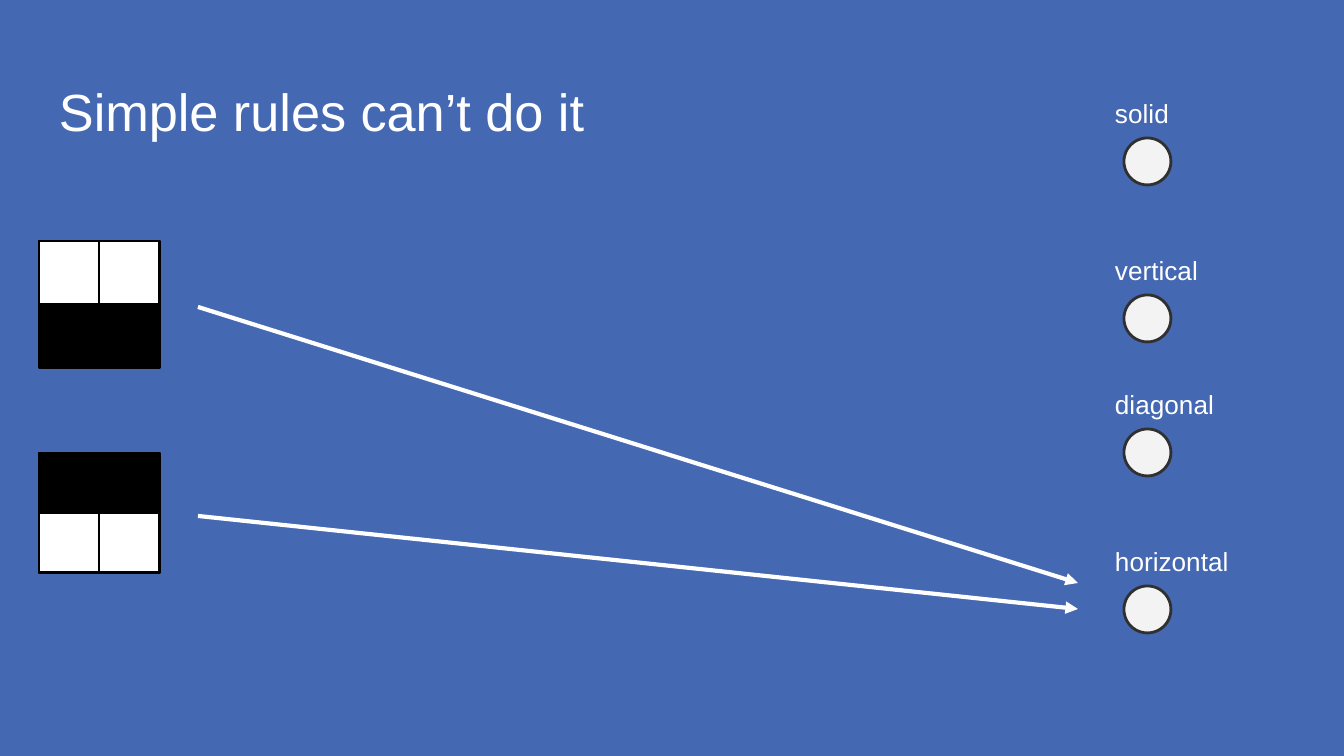
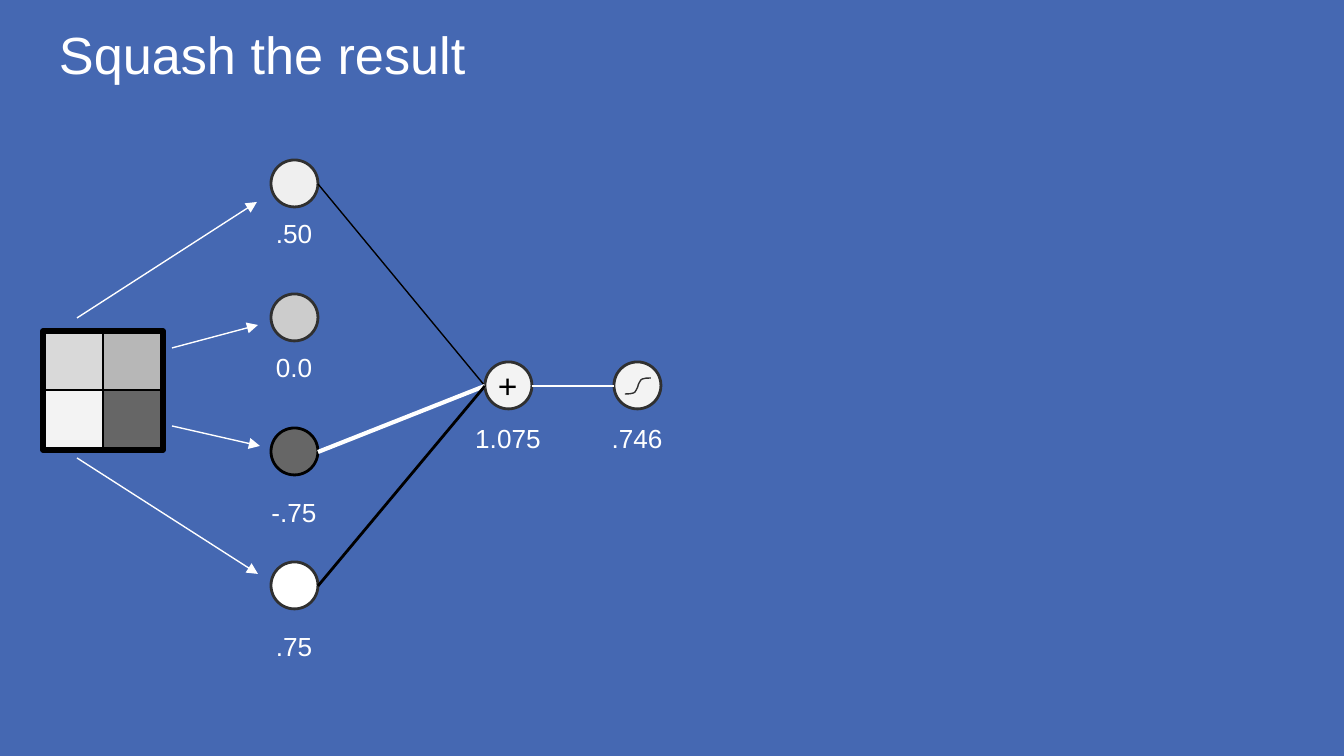
from lxml import etree
from pptx import Presentation
from pptx.dml.color import RGBColor
from pptx.enum.shapes import MSO_CONNECTOR, MSO_SHAPE
from pptx.enum.text import MSO_ANCHOR, MSO_AUTO_SIZE, PP_ALIGN
from pptx.oxml.ns import qn
from pptx.util import Emu, Pt

RECT, OVAL = MSO_SHAPE.RECTANGLE, MSO_SHAPE.OVAL
STRAIGHT = MSO_CONNECTOR.STRAIGHT
LEFT, CENTER = PP_ALIGN.LEFT, PP_ALIGN.CENTER
TOP, NO_FIT = MSO_ANCHOR.TOP, MSO_AUTO_SIZE.NONE

SLIDE_W, SLIDE_H = 1344, 756
SCALE = 9144000 / SLIDE_W
FONT = "Arial"
INSET = 13
NODE = 47
LABEL_H = 66
COLORS = {
    "back": "4568B2",
    "white": "FFFFFF",
    "black": "000000",
    "outline": "303030",
    "node": "F3F3F3",
    "pale": "EFEFEF",
    "light": "D9D9D9",
    "silver": "CCCCCC",
    "mid": "B7B7B7",
    "dark": "666666",
}


def px(n):
    return Emu(round(n * SCALE))


def rgb(name):
    return RGBColor.from_string(COLORS[name])


def set_line(sp, color, weight):
    sp.line.color.rgb = rgb(color)
    sp.line.width = Pt(weight)


def add_shape(shapes, kind, x, y, w, h, fill, color, weight):
    sp = shapes.add_shape(kind, px(x), px(y), px(w), px(h))
    sp.shadow.inherit = False
    if fill:
        sp.fill.solid()
        sp.fill.fore_color.rgb = rgb(fill)
    else:
        sp.fill.background()
    set_line(sp, color, weight)


def add_node(s, x, y, fill="node", color="outline"):
    add_shape(s.shapes, OVAL, x, y, NODE, NODE, fill, color, 1.5)


def add_line(s, x1, y1, x2, y2, color="white", weight=0.75, arrow=False):
    c = s.shapes.add_connector(STRAIGHT, px(x1), px(y1), px(x2), px(y2))
    set_line(c, color, weight)
    pr = c.element.spPr
    if arrow:
        etree.SubElement(pr.find(qn("a:ln")), qn("a:tailEnd"), type="triangle")
    etree.SubElement(pr, qn("a:effectLst"))


def write(sp, text, size, color="white", align=LEFT):
    tf = sp.text_frame
    tf.word_wrap = True
    tf.auto_size = NO_FIT
    tf.vertical_anchor = TOP
    tf.margin_left = tf.margin_right = tf.margin_top = tf.margin_bottom = px(INSET)
    p = tf.paragraphs[0]
    p.alignment = align
    r = p.add_run()
    r.text = text
    r.font.name = FONT
    r.font.size = Pt(size)
    r.font.color.rgb = rgb(color)


def add_label(s, x, y, w, text, size=14, color="white", align=LEFT):
    sp = s.shapes.add_textbox(px(x), px(y), px(w), px(LABEL_H))
    write(sp, text, size, color, align)


def add_title(s, text, y):
    sp = s.shapes.title
    sp.left, sp.top, sp.width, sp.height = px(46), px(y), px(1253), px(85)
    write(sp, text, 28)


def add_pattern(shapes, x, y, w, h, shades, weight):
    cw, ch = w // 2, h // 2
    for i, shade in enumerate(shades):
        row, col = divmod(i, 2)
        add_shape(shapes, RECT, x + col * cw, y + row * ch, cw, ch, shade, "black", 0.75)
    add_shape(shapes, RECT, x, y, w, h, None, "black", weight)


def add_outputs(s, x, y):
    outputs = [("solid", 0, 121), ("vertical", 157, 121),
               ("diagonal", 291, 153), ("horizontal", 448, 177)]
    for text, dy, w in outputs:
        add_node(s, x + 22, y + dy + 54)
        add_label(s, x, y + dy, w, text)


def add_squash_curve(s, cx, cy):
    half = [(5, -16), (17, -40), (30, -60), (45, -70), (80, -78), (130, -80)]
    for sign in (1, -1):
        fb = s.shapes.build_freeform(cx * 10, cy * 10, scale=SCALE / 10)
        fb.add_line_segments([(cx * 10 + sign * dx, cy * 10 + sign * dy)
                              for dx, dy in half], close=False)
        sp = fb.convert_to_shape()
        sp.shadow.inherit = False
        sp.fill.background()
        set_line(sp, "outline", 0.75)


def add_network(s, x, y):
    inputs = [
        (".50", "pale", "outline", 44, ("black", 0.75)),
        ("0.0", "silver", "outline", 44, None),
        ("-.75", "dark", "black", 55, ("white", 2.25)),
        (".75", "white", "outline", 55, ("black", 1.5)),
    ]
    pitch = 134
    sum_x, squash_x, mid_y = x + 214, x + 343, y + 202
    half = NODE // 2 + 1
    for text, shade, color, gap, _ in inputs:
        add_node(s, x, y, shade, color)
        add_label(s, x - 30, y + gap, 106, text, align=CENTER)
        y += pitch
    y -= pitch * len(inputs)
    for node_x, text in ((sum_x, "1.075"), (squash_x, ".746")):
        add_node(s, node_x, mid_y)
        add_label(s, node_x - 30, mid_y + 47, 106, text, align=CENTER)
    add_label(s, sum_x, mid_y - 10, NODE, "+", 18, "black")
    add_line(s, sum_x + NODE, mid_y + half, squash_x, mid_y + half)
    add_squash_curve(s, squash_x + half, mid_y + half)
    for i, (*_, weight) in enumerate(inputs):
        if weight:
            add_line(s, x + NODE, y + i * pitch + half, sum_x, mid_y + half, *weight)


def add_pixel_arrows(s, x, y):
    for x1, y1, x2, y2 in [(34, -13, 214, -129), (129, 17, 215, -6),
                           (129, 95, 217, 115), (34, 127, 215, 243)]:
        add_line(s, x + x1, y + y1, x + x2, y + y2, arrow=True)


def rules_slide(s):
    add_title(s, "Simple rules can’t do it", 66)
    add_outputs(s, 1102, 84)
    light, dark = ["white"] * 2, ["black"] * 2
    for y, h, shades, start, end in [(241, 127, light + dark, 307, 583),
                                     (453, 120, dark + light, 516, 609)]:
        add_pattern(s.shapes.add_group_shape().shapes, 39, y, 121, h, shades, 1.5)
        add_line(s, 198, start, 1078, end, weight=2.25, arrow=True)


def squash_slide(s):
    add_title(s, "Squash the result", 9)
    add_pattern(s.shapes, 43, 331, 120, 119, ["light", "mid", "node", "dark"], 3)
    add_pixel_arrows(s, 43, 331)
    add_network(s, 271, 160)


def main():
    prs = Presentation()
    prs.slide_width, prs.slide_height = px(SLIDE_W), px(SLIDE_H)
    fill = prs.slide_master.background.fill
    fill.solid()
    fill.fore_color.rgb = rgb("back")
    for build in (rules_slide, squash_slide):
        build(prs.slides.add_slide(prs.slide_layouts[5]))
    prs.save("out.pptx")


if __name__ == "__main__":
    main()
